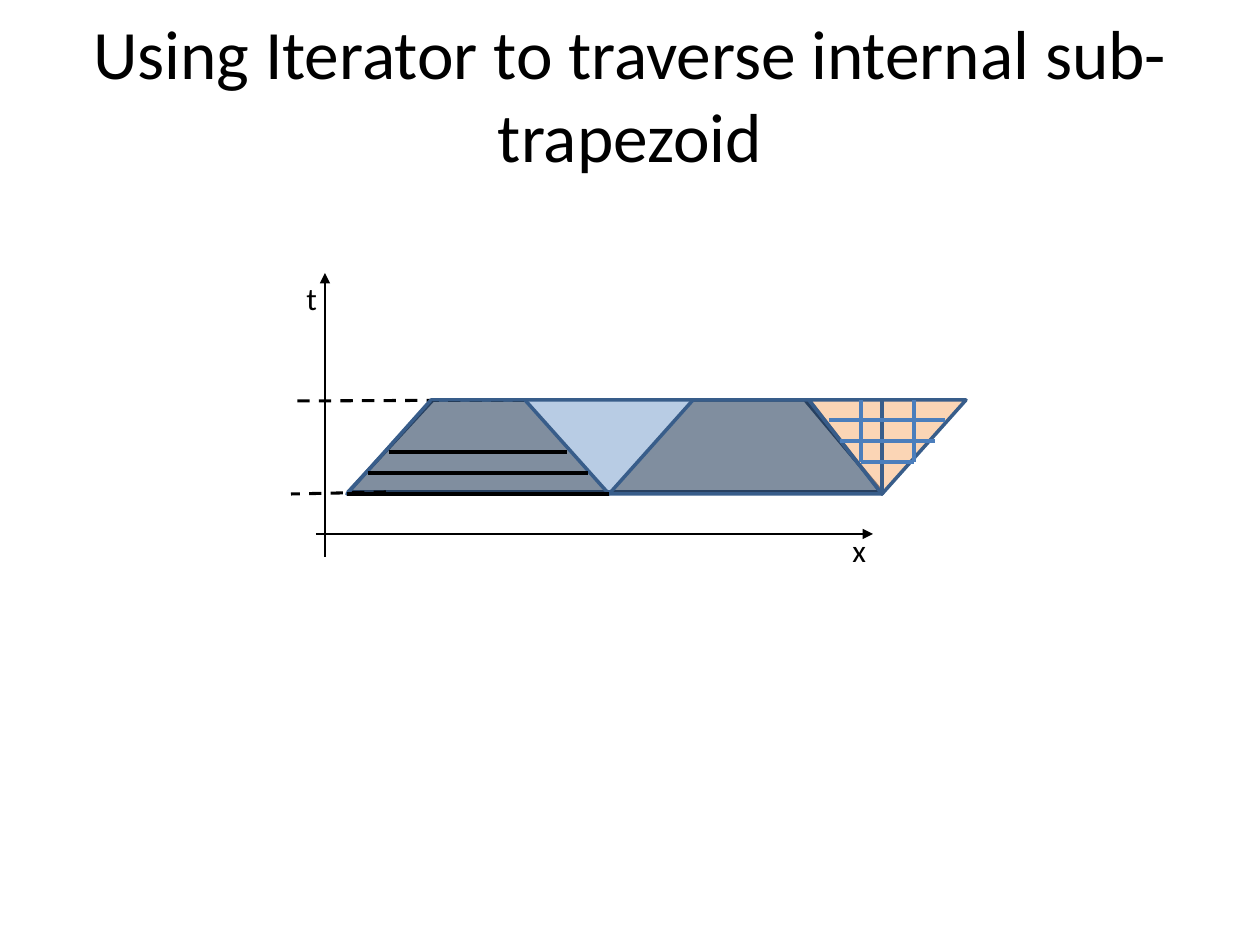
from dataclasses import dataclass

from lxml import etree
from pptx import Presentation
from pptx.dml.color import RGBColor
from pptx.enum.dml import MSO_LINE
from pptx.enum.shapes import MSO_CONNECTOR
from pptx.enum.text import MSO_ANCHOR, MSO_AUTO_SIZE, PP_ALIGN
from pptx.oxml.ns import qn
from pptx.util import Pt

STRAIGHT = MSO_CONNECTOR.STRAIGHT
DASH = MSO_LINE.DASH
MIDDLE = MSO_ANCHOR.MIDDLE
CENTER = PP_ALIGN.CENTER
NO_FIT = MSO_AUTO_SIZE.NONE
GROW = MSO_AUTO_SIZE.SHAPE_TO_FIT_TEXT
TITLE_ONLY = 5
PX = 914400 / 126


def emu(px):
    return round(px * PX)


@dataclass(frozen=True)
class Theme:
    ink: str = "000000"
    blue: str = "4F81BD"
    edge: str = "385D8A"
    grid: str = "4B7EBC"
    peach: str = "F79646"
    font: str = "Calibri"
    title: float = 39.6
    label: float = 18
    thin: float = 0.75
    dash: float = 1.75
    thick: float = 2


class Deck:
    def __init__(self, theme):
        self.theme = theme
        self.prs = Presentation()
        self.prs.slide_width, self.prs.slide_height = emu(1260), emu(945)
        self.slide = self.prs.slides.add_slide(self.prs.slide_layouts[TITLE_ONLY])
        self.shapes = self.slide.shapes

    def put_text(self, box, text, size, **frame):
        """Fill a text frame and set its format."""
        body = box.text_frame
        for name, value in frame.items():
            setattr(body, name, value)
        para = body.paragraphs[0]
        run = para.add_run()
        run.text = text
        for name, value in {"name": self.theme.font, "size": Pt(size)}.items():
            setattr(run.font, name, value)
        run.font.color.rgb = RGBColor.from_string(self.theme.ink)
        return para

    def title(self, text, x, y, w, h):
        box = self.shapes.title
        place = {"left": x, "top": y, "width": w, "height": h}
        for name, value in place.items():
            setattr(box, name, emu(value))
        para = self.put_text(box, text, self.theme.title, word_wrap=True,
                             auto_size=NO_FIT, vertical_anchor=MIDDLE)
        para.alignment = CENTER

    def label(self, text, x, y, w, h):
        box = self.shapes.add_textbox(*map(emu, (x, y, w, h)))
        self.put_text(box, text, self.theme.label, word_wrap=False, auto_size=GROW)

    def line(self, x1, y1, x2, y2, color, width, dash=None, arrow=False):
        link = self.shapes.add_connector(STRAIGHT, *map(emu, (x1, y1, x2, y2)))
        link.line.color.rgb = RGBColor.from_string(color)
        link.line.width = Pt(width)
        if dash:
            link.line.dash_style = dash
        props = link._element.spPr
        if arrow:
            etree.SubElement(props.find(qn("a:ln")), qn("a:tailEnd"), type="triangle")
        etree.SubElement(props, qn("a:effectLst"))

    def area(self, points, color, alpha):
        """Draw a closed outline with a see-through fill."""
        pen = self.shapes.build_freeform(*points[0], scale=PX)
        pen.add_line_segments(points[1:], close=True)
        shape = pen.convert_to_shape()
        shape.shadow.inherit = False
        shape.fill.solid()
        shape.fill.fore_color.rgb = RGBColor.from_string(color)
        tint = shape._element.spPr.find(qn("a:solidFill"))[0]
        etree.SubElement(tint, qn("a:alpha"), val=str(alpha * 1000))
        shape.line.color.rgb = RGBColor.from_string(self.theme.edge)
        shape.line.width = Pt(self.theme.thick)


def main():
    look = Theme()
    deck = Deck(look)
    top, base = 400, 494
    left, mid, right = 347, 609, 882
    step = 21

    deck.title("Using Iterator to traverse internal sub-trapezoid", 63, 38, 1134, 110)

    # Space axis and time label
    deck.line(316, 534, 873, 534, look.ink, look.thin, arrow=True)
    deck.label("t", 294, 273, 38, 50)

    # Whole trapezoid and its dashed time bounds
    deck.area([(348, 492), (433, top), (805, top), (right, 492)], look.blue, 40)
    deck.line(386, 492, 291, base, look.ink, look.dash, dash=DASH)
    deck.line(525, top, 291, top + 1, look.ink, look.dash, dash=DASH)

    # Grey sub-trapezoids, then the two outer triangles
    deck.area([(left, base), (431, top), (525, top), (mid, base)], look.ink, 30)
    deck.area([(mid, base), (693, top), (809, top), (right, base)], look.ink, 30)
    for corner in (966, 809):
        deck.area([(corner, top), (right, base), (right, top)], look.peach, 40)

    # Time axis and space label
    deck.line(325, 557, 325, 273, look.ink, look.thin, arrow=True)
    deck.label("x", 840, 525, 44, 50)

    # Grid over the outer triangles
    low = 462
    for i in range(2):
        y = low - step * (2 - i)
        deck.line(829 + 11 * i, y, 945 - 10 * i, y, look.grid, look.thick)
    for x in (861, 914):
        deck.line(x, low, right, low, look.grid, look.thick)
        deck.line(x, top, x, low, look.grid, look.thick)

    # Rows swept inside the left sub-trapezoid
    for i in (2, 1, 0):
        shift = step * i
        deck.line(left + shift, base - shift, mid - shift, base - shift, look.ink, look.thick)

    deck.prs.save("out.pptx")


if __name__ == "__main__":
    main()
